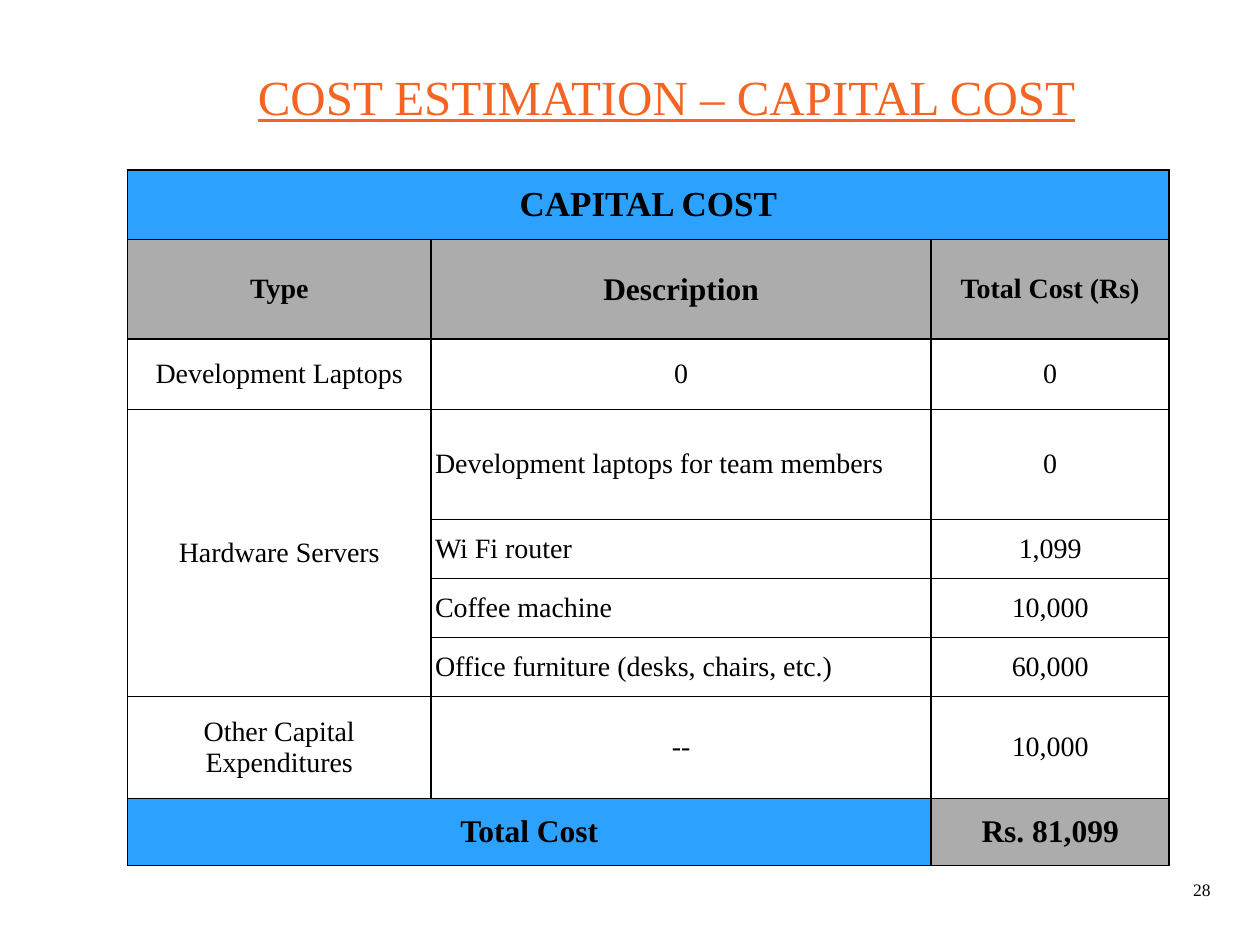
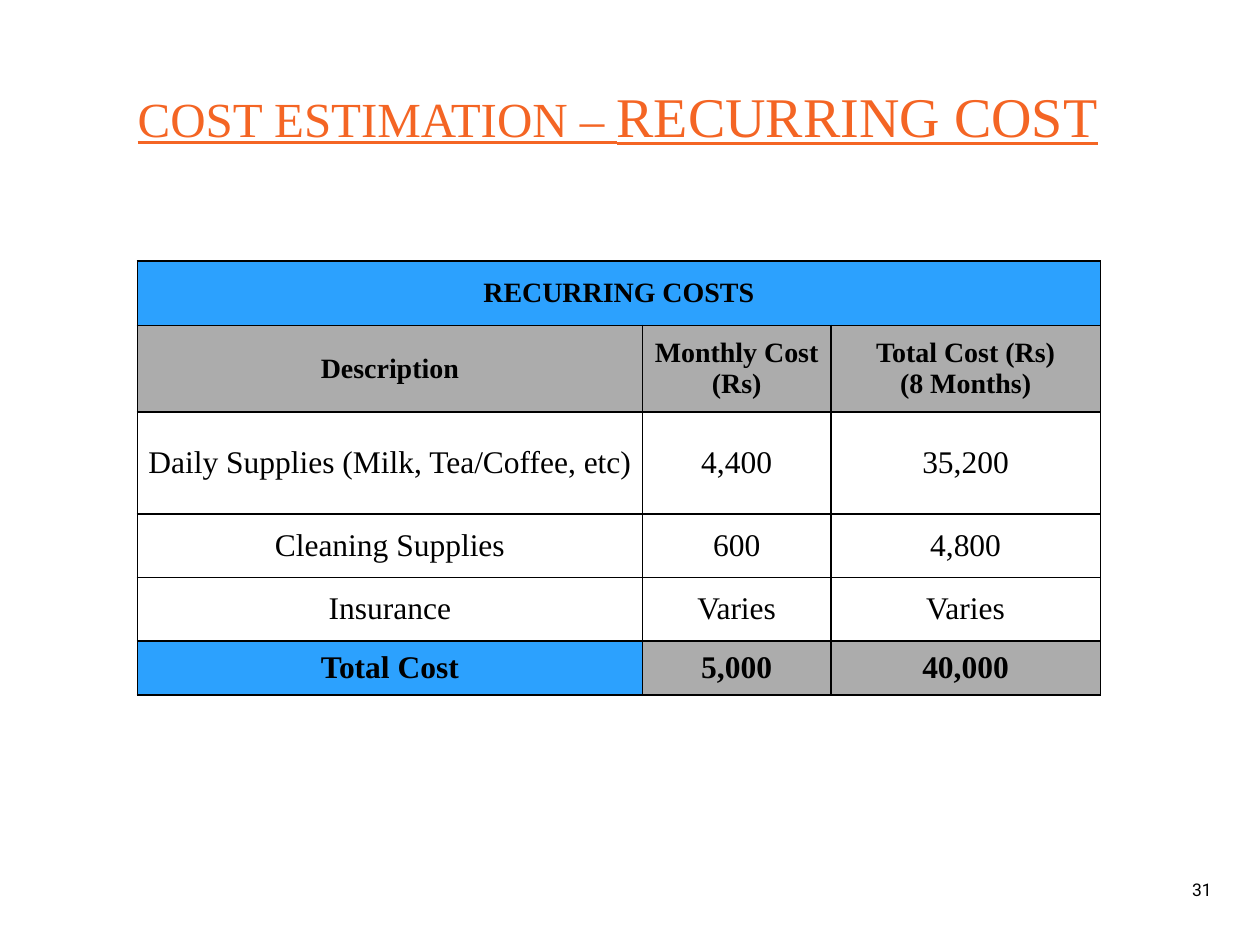
"""Build two cost estimation slides: capital cost and recurring cost."""
from lxml import etree
from pptx import Presentation
from pptx.dml.color import RGBColor
from pptx.enum import text as t
from pptx.oxml import ns
from pptx.util import Cm, Pt

ORANGE = RGBColor(0xF4, 0x65, 0x24)
BLUE = RGBColor(0x2C, 0xA1, 0xFE)
GRAY = RGBColor(0xAC, 0xAC, 0xAC)
BLACK = RGBColor(0, 0, 0)
SERIF = "Times New Roman"


def write(p, text, size=16, color=BLACK, font=SERIF, bold=False, underline=False,
          align=t.PP_ALIGN.CENTER):
    p.alignment = align
    for i, line in enumerate(text.split("\n")):
        if i:
            p.add_line_break()
        r = p.add_run()
        r.text = line
        r.font.size = Pt(size)
        r.font.name = font
        r.font.bold = bold
        r.font.underline = underline
        r.font.color.rgb = color


def add_borders(cell):
    tc_pr = cell._tc.get_or_add_tcPr()
    for i, side in enumerate(("lnL", "lnR", "lnT", "lnB")):
        ln = etree.Element(ns.qn(f"a:{side}"), w=str(Pt(1)))
        fill = etree.SubElement(ln, ns.qn("a:solidFill"))
        etree.SubElement(fill, ns.qn("a:srgbClr"), val=str(BLACK))
        tc_pr.insert(i, ln)


slides = [
    dict(
        title=[("COST ESTIMATION – CAPITAL COST", 28)],
        title_box=(2.64, 0.86, 21.59, 4.47),
        title_anchor=t.MSO_ANCHOR.TOP, title_inset=0.61,
        number="28", number_font=SERIF,
        origin=(2.57, 3.43),
        cols=[6.12, 10.08, 4.8],
        rows=[1.4, 2.01, 1.42, 2.21, 1.19, 1.19, 1.19, 2.06, 1.35],
        cells=[
            ["CAPITAL COST", "", ""],
            ["Type", "Description", "Total Cost (Rs)"],
            ["Development Laptops", "0", "0"],
            ["Hardware Servers", "Development laptops for team members", "0"],
            ["", "Wi Fi router", "1,099"],
            ["", "Coffee machine", "10,000"],
            ["", "Office furniture (desks, chairs, etc.)", "60,000"],
            ["Other Capital Expenditures", "--", "10,000"],
            ["Total Cost", "", "Rs. 81,099"],
        ],
        merges=[(0, 0, 0, 2), (3, 0, 6, 0), (8, 0, 8, 1)],
        banner_size=20, body_size=16, big_cells=[(1, 1)],
        left_cells=[(row, 1) for row in range(3, 7)],
    ),
    dict(
        title=[("COST ESTIMATION – ", 28), ("RECURRING COST", 32)],
        title_box=(1.37, 1.22, 22.17, 2.36),
        title_anchor=t.MSO_ANCHOR.MIDDLE, title_inset=0.13,
        number="31", number_font="Roboto",
        origin=(2.77, 5.26),
        cols=[10.18, 3.8, 5.43],
        rows=[1.3, 1.75, 2.05, 1.28, 1.28, 1.09],
        cells=[
            ["RECURRING COSTS", "", ""],
            ["Description", "Monthly Cost (Rs)", "Total Cost (Rs)\n(8 Months)"],
            ["Daily Supplies (Milk, Tea/Coffee, etc)", "4,400", "35,200"],
            ["Cleaning Supplies", "600", "4,800"],
            ["Insurance", "Varies", "Varies"],
            ["Total Cost", "5,000", "40,000"],
        ],
        merges=[(0, 0, 0, 2)],
        banner_size=16, body_size=18, big_cells=[], left_cells=[],
    ),
]

prs = Presentation()
prs.slide_width, prs.slide_height = Cm(25.4), Cm(19.05)

for d in slides:
    s = prs.slides.add_slide(prs.slide_layouts[6])

    tf = s.shapes.add_textbox(*map(Cm, d["title_box"])).text_frame
    tf.word_wrap = True
    tf.vertical_anchor = d["title_anchor"]
    tf.margin_top = Cm(d["title_inset"])
    tf.paragraphs[0].line_spacing = 0.9
    for text, size in d["title"]:
        write(tf.paragraphs[0], text, size=size, color=ORANGE, underline=True)

    tf = s.shapes.add_textbox(Cm(23.57), Cm(17.42), Cm(1.32), Cm(1.02)).text_frame
    tf.word_wrap = True
    tf.vertical_anchor = t.MSO_ANCHOR.MIDDLE
    write(tf.paragraphs[0], d["number"], size=10, font=d["number_font"])

    cols, rows = d["cols"], d["rows"]
    left, top = d["origin"]
    table = s.shapes.add_table(len(rows), len(cols), Cm(left), Cm(top),
                               Cm(sum(cols)), Cm(sum(rows))).table
    for col, width in zip(table.columns, cols):
        col.width = Cm(width)
    for row, height in zip(table.rows, rows):
        row.height = Cm(height)
    for r1, c1, r2, c2 in d["merges"]:
        table.cell(r1, c1).merge(table.cell(r2, c2))

    last = len(rows) - 1
    for i, line in enumerate(d["cells"]):
        for j, text in enumerate(line):
            cell = table.cell(i, j)
            cell.vertical_anchor = t.MSO_ANCHOR.MIDDLE
            cell.margin_left = cell.margin_right = Cm(0.08)
            cell.margin_top = cell.margin_bottom = Cm(0.05)
            if i in (0, 1, last):
                cell.fill.solid()
                is_blue = i == 0 or (i == last and j == 0)
                cell.fill.fore_color.rgb = BLUE if is_blue else GRAY
            else:
                cell.fill.background()
            add_borders(cell)
            if not text:
                continue
            if i == 0:
                size = d["banner_size"]
            elif i == last or (i, j) in d["big_cells"]:
                size = 18
            else:
                size = 16 if i == 1 else d["body_size"]
            is_left = (i, j) in d["left_cells"]
            write(cell.text_frame.paragraphs[0], text, size=size, bold=i in (0, 1, last),
                  align=t.PP_ALIGN.LEFT if is_left else t.PP_ALIGN.CENTER)

prs.save("out.pptx")
